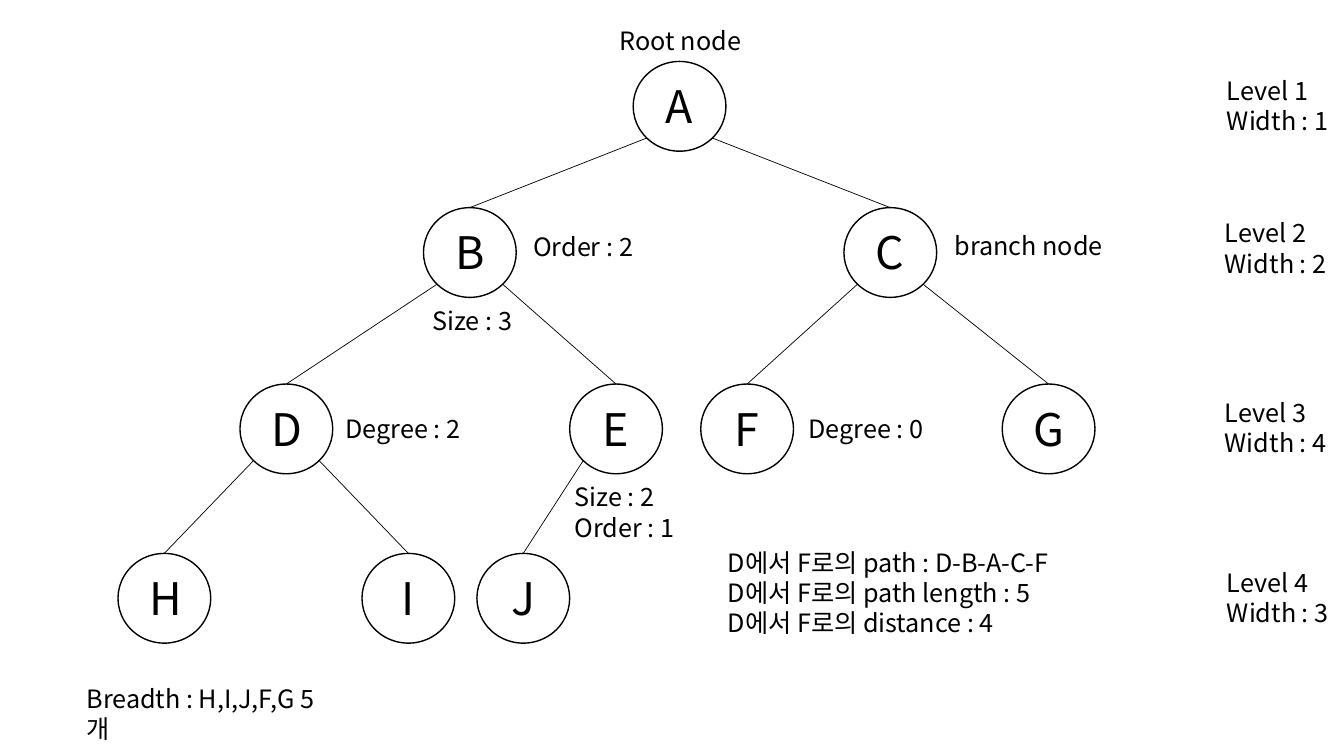
from math import sqrt

from pptx import Presentation
from pptx import util as u
from pptx.dml.color import RGBColor
from pptx.enum import shapes, text
from pptx.oxml.ns import qn
from lxml import etree

BLACK = RGBColor(0, 0, 0)
FONT = "Noto Sans CJK KR"
NODE_W, NODE_H = 0.92, 0.89
LETTER_W, LETTER_H = 0.5, 0.64


class TreeSlide:
    def __init__(self, slide):
        self.shapes = slide.shapes

    def circle(self, left, top):
        oval = self.shapes.add_shape(
            shapes.MSO_SHAPE.OVAL, u.Inches(left), u.Inches(top),
            u.Inches(NODE_W), u.Inches(NODE_H))
        oval.shadow.inherit = False
        oval.fill.background()
        oval.line.color.rgb = BLACK
        oval.line.width = u.Pt(1)

    def edge(self, start, end):
        line = self.shapes.add_connector(
            shapes.MSO_CONNECTOR.STRAIGHT, *map(u.Inches, start + end))
        line.line.color.rgb = BLACK
        line.line.width = u.Pt(0.5)
        etree.SubElement(line._element.spPr, qn("a:effectLst"))

    def label(self, left, top, width, height, words, size=18, wrap=True,
              align=text.PP_ALIGN.LEFT):
        box = self.shapes.add_textbox(*map(u.Inches, (left, top, width, height)))
        frame = box.text_frame
        frame.text = words
        frame.word_wrap = wrap
        frame.auto_size = text.MSO_AUTO_SIZE.SHAPE_TO_FIT_TEXT
        for paragraph in frame.paragraphs:
            paragraph.alignment = align
            for run in paragraph.runs:
                run.font.size = u.Pt(size)
                run.font.name = FONT
                run.font.color.rgb = BLACK
                east_asian = etree.SubElement(run.font._element, qn("a:ea"))
                east_asian.set("typeface", FONT)

    def letter(self, left, top, name):
        self.label(left + (NODE_W - LETTER_W) / 2, top + (NODE_H - LETTER_H) / 2,
                   LETTER_W, LETTER_H, name, 32, False, text.PP_ALIGN.CENTER)


prs = Presentation()
prs.slide_width = u.Inches(13.33)
prs.slide_height = u.Inches(7.5)
tree = TreeSlide(prs.slides.add_slide(prs.slide_layouts[6]))

# Nodes: left edges per level
level_tops = [0.61, 2.06, 3.81, 5.49]
level_nodes = [
    {"A": 6.28},
    {"B": 4.2, "C": 8.37},
    {"D": 2.38, "E": 5.65, "F": 6.95, "G": 9.94},
    {"H": 1.17, "I": 3.59, "J": 4.73},
]
nodes = {name: (left, top)
         for top, level in zip(level_tops, level_nodes)
         for name, left in level.items()}
for left, top in nodes.values():
    tree.circle(left, top)

# Edges: from the parent's lower diagonal point to the child's top
children = {"A": "BC", "B": "DE", "C": "FG", "D": "HI", "E": "J"}
diagonal = sqrt(0.5) / 2
for parent, names in children.items():
    left, top = nodes[parent]
    for side, child in zip((-1, 1), names):
        child_left, child_top = nodes[child]
        tree.edge((left + NODE_W * (0.5 + side * diagonal),
                   top + NODE_H * (0.5 + diagonal)),
                  (child_left + NODE_W / 2, child_top))

# Node letters
for name, (left, top) in nodes.items():
    tree.letter(left, top, name)

# Node terms
for term in [
    (6.05, 0.2, 1.51, 0.4, "Root node"),
    (9.37, 2.24, 1.76, 0.4, "branch node"),
    (5.19, 2.25, 1.32, 0.4, "Order : 2"),
    (4.19, 2.98, 1.07, 0.4, "Size : 3"),
    (3.33, 4.05, 1.62, 0.4, "Degree : 2"),
    (7.92, 4.05, 1.62, 0.4, "Degree : 0"),
    (5.6, 4.73, 1.32, 0.71, "Size : 2\nOrder : 1"),
]:
    tree.label(*term)

# Level and width of each row
level_labels = [(12.07, 0.7), (12.05, 2.11), (12.05, 3.89), (12.07, 5.58)]
for number, ((left, top), level) in enumerate(zip(level_labels, level_nodes), 1):
    tree.label(left, top, 1.31, 0.71, f"Level {number}\nWidth : {len(level)}")

# Path and breadth notes
path_facts = ["path : D-B-A-C-F", "path length : 5", "distance : 4"]
tree.label(7.12, 5.38, 3.93, 1.01,
           "\n".join(f"D에서 F로의 {fact}" for fact in path_facts))
tree.label(0.76, 6.73, 2.63, 0.4, "Breadth : H,I,J,F,G 5개")

prs.save("out.pptx")
